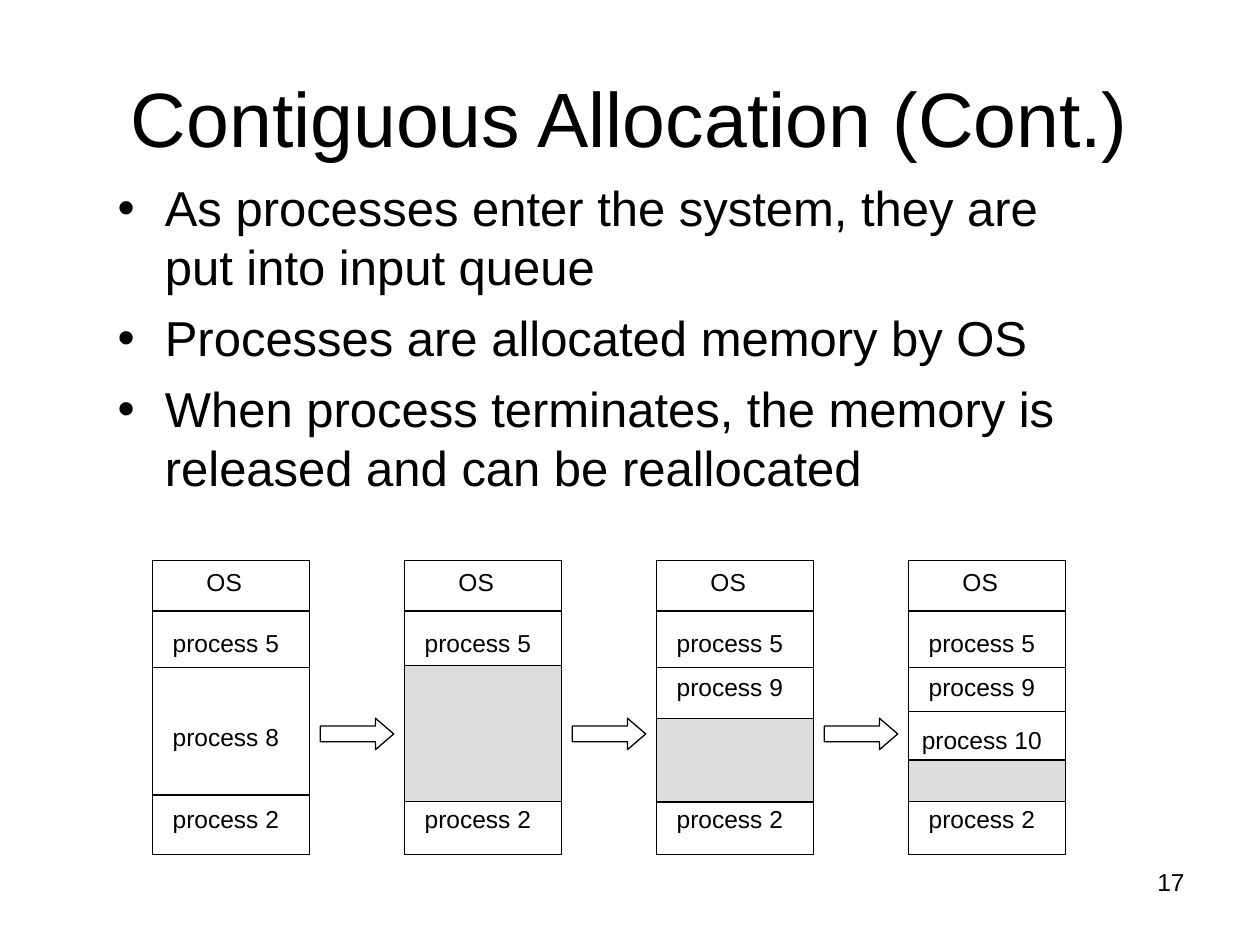
from lxml import etree
from pptx import Presentation
from pptx import util as u
from pptx.dml import color
from pptx.enum import shapes, text
from pptx.oxml import ns

COLORS = {"ink": "000000", "paper": "FFFFFF", "free": "DDDDDD"}
FONT = "Arial"
LABEL_HEIGHT = 24.5
COLUMN_PITCH = 144
BULLETS = [
    "As processes enter the system, they are put into input queue",
    "Processes are allocated memory by OS",
    "When process terminates, the memory is released and can be reallocated",
]
DIVIDERS = [28.8, 61.2, 133.9]
COMMON_LABELS = [("process 5", 34.6), ("process 2", 135.4)]
STAGES = [
    {"labels": [("process 8", 88.6)]},
    {"free": (59.8, 77.8)},
    {"labels": [("process 9", 59.8)], "free": (90, 48)},
    {"labels": [("process 9", 59.8), ("process 10", 90)],
     "free": (113.8, 24), "dividers": [86.4]},
]


def rgb(name):
    """Return the named palette colour."""
    return color.RGBColor.from_string(COLORS[name])


def place(shape, box):
    """Move a shape to a box of left, top, width and height in points."""
    shape.left, shape.top, shape.width, shape.height = map(u.Pt, box)


def write(paragraph, words, size, alignment, before=0):
    """Add one formatted run to a paragraph."""
    paragraph.alignment = alignment
    paragraph.space_before = u.Pt(before)
    run = paragraph.add_run()
    run.text = words
    run.font.name = FONT
    run.font.size = u.Pt(size)
    run.font.color.rgb = rgb("ink")


def add_label(slide, words, box, alignment=text.PP_ALIGN.CENTER,
              anchor=text.MSO_ANCHOR.MIDDLE, wrap=True, before=8.8):
    """Add a small text box."""
    label = slide.shapes.add_textbox(*map(u.Pt, box))
    frame = label.text_frame
    frame.word_wrap = wrap
    frame.vertical_anchor = anchor
    write(frame.paragraphs[0], words, 14, alignment, before)


def add_block(slide, kind, box, fill):
    """Add an outlined shape with a solid fill."""
    shape = slide.shapes.add_shape(kind, *map(u.Pt, box))
    shape.shadow.inherit = False
    shape.fill.solid()
    shape.fill.fore_color.rgb = rgb(fill)
    shape.line.color.rgb = rgb("ink")
    shape.line.width = u.Pt(0.75)
    return shape


def add_divider(slide, left, top, width):
    """Add a horizontal line across a memory column."""
    line = slide.shapes.add_connector(
        shapes.MSO_CONNECTOR.STRAIGHT,
        u.Pt(left), u.Pt(top), u.Pt(left + width), u.Pt(top))
    line.line.color.rgb = rgb("ink")
    line.line.width = u.Pt(0.75)
    etree.SubElement(line._element.spPr, ns.qn("a:effectLst"))


def fill_title(slide, box):
    """Write the slide title."""
    title = slide.shapes.title
    place(title, box)
    title.text_frame.vertical_anchor = text.MSO_ANCHOR.MIDDLE
    write(title.text_frame.paragraphs[0], "Contiguous Allocation (Cont.)",
          44, text.PP_ALIGN.CENTER)


def fill_body(slide, box):
    """Write the bulleted list."""
    body = slide.placeholders[1]
    place(body, box)
    frame = body.text_frame
    frame.auto_size = text.MSO_AUTO_SIZE.NONE
    for index, words in enumerate(BULLETS):
        paragraph = frame.add_paragraph() if index else frame.paragraphs[0]
        write(paragraph, words, 28, text.PP_ALIGN.LEFT, 7)
        properties = paragraph._p.get_or_add_pPr()
        properties.set("marL", str(u.Pt(27)))
        properties.set("indent", str(u.Pt(-27)))
        etree.SubElement(properties, ns.qn("a:buFont"), typeface=FONT)
        etree.SubElement(properties, ns.qn("a:buChar"), char="•")


def add_memory_column(slide, box, stage):
    """Draw the memory layout of one stage."""
    left, top, width, height = box
    add_block(slide, shapes.MSO_SHAPE.RECTANGLE, box, "paper")
    for offset in DIVIDERS + stage.get("dividers", []):
        add_divider(slide, left, top + offset, width)
    if "free" in stage:
        offset, free_height = stage["free"]
        add_block(slide, shapes.MSO_SHAPE.RECTANGLE,
                  (left, top + offset, width, free_height), "free")
    add_label(slide, "OS", (left + 23.8, top, 34.6, LABEL_HEIGHT), wrap=False)
    for words, offset in COMMON_LABELS + stage.get("labels", []):
        add_label(slide, words,
                  (left, top + offset, width - 5.8, LABEL_HEIGHT))


def add_stages(slide, box):
    """Draw all stages in a row, with an arrow between neighbours."""
    left, top, width, height = box
    column_width = width - COLUMN_PITCH * (len(STAGES) - 1)
    for index, stage in enumerate(STAGES):
        column_left = left + index * COLUMN_PITCH
        add_memory_column(slide, (column_left, top, column_width, height), stage)
        if index:
            arrow = add_block(slide, shapes.MSO_SHAPE.RIGHT_ARROW,
                              (column_left - 48, top + 90, 42, 18), "paper")
            arrow.adjustments[0] = 0.5
            arrow.adjustments[1] = 0.58


def main():
    """Build and save the slide."""
    presentation = Presentation()
    presentation.slide_width, presentation.slide_height = u.Pt(720), u.Pt(540)
    slide = presentation.slides.add_slide(presentation.slide_layouts[1])
    fill_title(slide, (36, 21.6, 648, 90))
    fill_body(slide, (60, 98, 579, 205))
    add_stages(slide, (87, 320.4, 522, 168))
    add_label(slide, "17", (516, 492, 168, 37.4), text.PP_ALIGN.RIGHT,
              text.MSO_ANCHOR.TOP, before=0)
    presentation.save("out.pptx")


if __name__ == "__main__":
    main()
